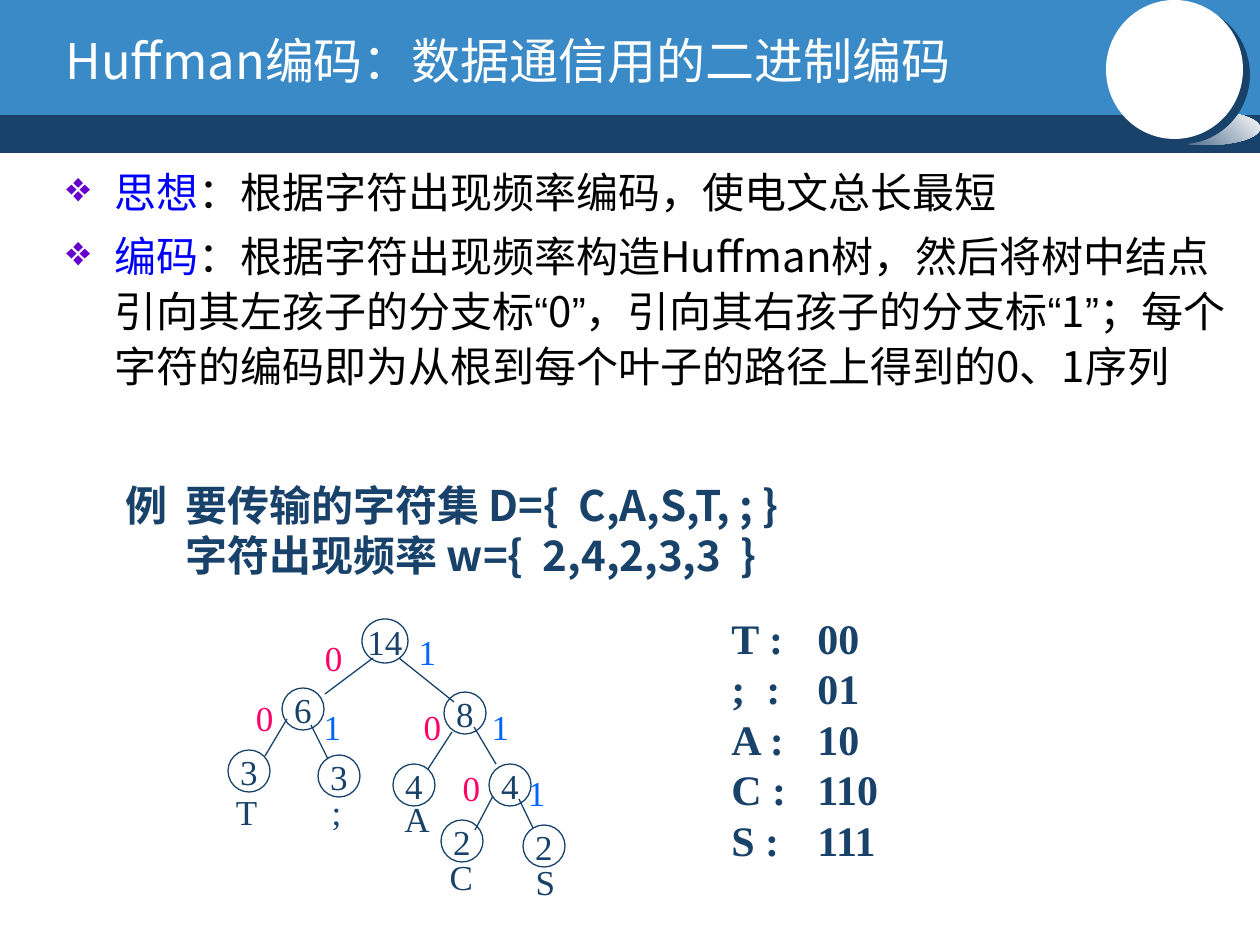
from lxml import etree
from pptx import Presentation
from pptx.dml.color import RGBColor
from pptx.enum.shapes import MSO_CONNECTOR, MSO_SHAPE
from pptx.enum.text import MSO_ANCHOR, MSO_AUTO_SIZE, PP_ALIGN
from pptx.oxml.ns import qn
from pptx.util import Emu, Pt

RECTANGLE, OVAL = MSO_SHAPE.RECTANGLE, MSO_SHAPE.OVAL
STRAIGHT = MSO_CONNECTOR.STRAIGHT
MIDDLE, TOP = MSO_ANCHOR.MIDDLE, MSO_ANCHOR.TOP
LEFT, CENTER = PP_ALIGN.LEFT, PP_ALIGN.CENTER
NO_AUTOFIT = MSO_AUTO_SIZE.NONE

SANS, SERIF, QUOTE = "Noto Sans CJK SC", "Times New Roman", "Arial"
NAVY, BLUE, WHITE, BLACK = "19426B", "398AC7", "FFFFFF", "000000"
TERM, BULLET = "0000FF", "6600CC"
BIT_COLORS = {"0": "FF0066", "1": "0066FF"}
NODE = 42

BODY = [
    [("思想", SANS, TERM), ("：根据字符出现频率编码，使电文总长最短", SANS, BLACK)],
    [
        ("编码", SANS, TERM),
        ("：根据字符出现频率构造Huffman树，然后将树中结点引向其左孩子的分支标", SANS, BLACK),
        ("“", QUOTE, BLACK), ("0", SANS, BLACK), ("”", QUOTE, BLACK),
        ("，引向其右孩子的分支标", SANS, BLACK),
        ("“", QUOTE, BLACK), ("1", SANS, BLACK), ("”", QUOTE, BLACK),
        ("；每个字符的编码即为从根到每个叶子的路径上得到的0、1序列", SANS, BLACK),
    ],
]
EXAMPLE = ["例\t要传输的字符集 D={  C,A,S,T, ; }", "字符出现频率 w={  2,4,2,3,3  }"]
CODES = ["T :\t00", ";  :\t01", "A :\t10", "C :\t110", "S :\t111"]

INNER_NODES = [("6", 282, 688), ("8", 444, 692), ("4", 489, 764)]
LEAVES = [
    ("3", 228, 750, "T", (223, 784, 47)),
    ("3", 318, 755, ";", (319, 784, 35)),
    ("4", 393, 764, "A", (392, 791, 50)),
    ("2", 441, 820, "C", (437, 849, 49)),
    ("2", 523, 825, "S", (523, 854, 45)),
]
BRANCHES = [
    ((373, 658), (325, 694), "0", (312, 630)),
    ((399, 658), (454, 702), "1", (406, 624)),
    ((287, 719), (265, 756), "0", (243, 690)),
    ((311, 725), (328, 759), "1", (311, 699)),
    ((452, 732), (428, 769), "0", (411, 699)),
    ((474, 727), (496, 764), "1", (479, 699)),
    ((493, 796), (475, 830), "0", (450, 760)),
    ((519, 799), (533, 828), "1", (515, 765)),
]


def px(length):
    return Emu(round(length * 914400 / 126))


def color(value):
    return RGBColor.from_string(value)


class SlideBuilder:
    """Draws styled elements on the current slide."""

    def __init__(self, presentation):
        self.slide = presentation.slides.add_slide(presentation.slide_layouts[5])
        self.shapes = self.slide.shapes

    def style(self, font, name, size, value, bold=False):
        font.name, font.size, font.bold = name, Pt(size), bold
        font.color.rgb = color(value)
        properties = font.fill._xPr
        east_asian = etree.Element(qn("a:ea"), typeface=name)
        properties.find(qn("a:latin")).addnext(east_asian)

    def shape(self, kind, box, fill=None, line=None):
        shape = self.shapes.add_shape(kind, *map(px, box))
        shape.shadow.inherit = False
        if fill:
            shape.fill.solid()
            shape.fill.fore_color.rgb = color(fill)
        else:
            shape.fill.background()
        if line:
            shape.line.color.rgb = color(line)
            shape.line.width = Pt(0.75)
        else:
            shape.line.fill.background()
        return shape

    def gradient_oval(self, box, start, end, angle):
        fill = self.shape(OVAL, box, start).fill
        fill.gradient()
        fill.gradient_angle = angle
        for stop, value, position in zip(fill.gradient_stops, (start, end), (0, 1)):
            stop.color.rgb = color(value)
            stop.position = position

    def shadowed_oval(self, box, fill, shadow):
        oval = self.shape(OVAL, box, fill)
        effects = oval.element.spPr.find(qn("a:effectLst"))
        outer = etree.SubElement(effects, qn("a:outerShdw"), dist=str(Pt(5)),
                                 dir=str(37 * 60000), algn="ctr", rotWithShape="0")
        etree.SubElement(outer, qn("a:srgbClr"), val=shadow)

    def title(self, box, text):
        shape = self.shapes.title
        shape.left, shape.top, shape.width, shape.height = map(px, box)
        frame = shape.text_frame
        frame.text = text
        frame.auto_size, frame.vertical_anchor = NO_AUTOFIT, MIDDLE
        paragraph = frame.paragraphs[0]
        paragraph.alignment = LEFT
        self.style(paragraph.font, SANS, 28, WHITE)
        shape.element.getparent().append(shape.element)

    def text_box(self, box, anchor):
        frame = self.shapes.add_textbox(*map(px, box)).text_frame
        frame.word_wrap, frame.vertical_anchor = True, anchor
        return frame

    def bullets(self, box, items):
        frame = self.text_box(box, TOP)
        for index, runs in enumerate(items):
            paragraph = frame.add_paragraph() if index else frame.paragraphs[0]
            paragraph.line_spacing, paragraph.space_before = 1.1, Pt(4.8)
            properties = paragraph._p.get_or_add_pPr()
            properties.set("marL", str(px(48)))
            properties.set("indent", str(-px(48)))
            bullet_color = etree.SubElement(properties, qn("a:buClr"))
            etree.SubElement(bullet_color, qn("a:srgbClr"), val=BULLET)
            etree.SubElement(properties, qn("a:buChar"), char="❖")
            for text, name, value in runs:
                run = paragraph.add_run()
                run.text = text
                self.style(run.font, name, 24, value)

    def bold_lines(self, box, lines, name, tab):
        frame = self.text_box(box, MIDDLE)
        for index, line in enumerate(lines):
            paragraph = frame.add_paragraph() if index else frame.paragraphs[0]
            paragraph.text = line
            properties = paragraph._p.get_or_add_pPr()
            if "\t" in line:
                tabs = etree.SubElement(properties, qn("a:tabLst"))
                etree.SubElement(tabs, qn("a:tab"), pos=str(px(tab)), algn="l")
            else:
                properties.set("marL", str(px(tab)))
            self.style(paragraph.font, name, 24, NAVY, True)

    def centered(self, frame, text, value):
        frame.word_wrap, frame.vertical_anchor = False, MIDDLE
        paragraph = frame.paragraphs[0]
        paragraph.text, paragraph.alignment = text, CENTER
        self.style(paragraph.font, SERIF, 20, value)

    def label(self, text, left, top, width=43, value=NAVY):
        self.centered(self.text_box((left, top, width, 54), MIDDLE), text, value)

    def node(self, text, left, top, width=NODE, height=NODE):
        shape = self.shape(OVAL, (left, top, width, height), line=NAVY)
        self.centered(shape.text_frame, text, NAVY)

    def branch(self, start, end):
        line = self.shapes.add_connector(STRAIGHT, *map(px, start + end))
        line.line.color.rgb = color(NAVY)
        line.line.width = Pt(0.75)
        etree.SubElement(line.element.spPr, qn("a:effectLst"))


def main():
    presentation = Presentation()
    presentation.slide_width, presentation.slide_height = px(1260), px(945)
    builder = SlideBuilder(presentation)
    builder.shape(RECTANGLE, (0, 110, 1260, 43), NAVY)
    builder.shape(RECTANGLE, (0, 0, 1260, 115), BLUE)
    builder.gradient_oval((1153, 111, 107, 34), NAVY, WHITE, 45)
    builder.shadowed_oval((1106, 0, 137, 139), WHITE, NAVY)
    builder.title((53, 21, 1018, 78), "Huffman编码：数据通信用的二进制编码")
    builder.bullets((54, 155, 1206, 348), BODY)
    builder.bold_lines((113, 473, 788, 113), EXAMPLE, SANS, 60)
    builder.node("14", 362, 619, 46, 44)
    for node in INNER_NODES:
        builder.node(*node)
    for weight, left, top, letter, place in LEAVES:
        builder.node(weight, left, top)
        builder.label(letter, *place)
    for start, end, bit, place in BRANCHES:
        builder.branch(start, end)
        builder.label(bit, *place, value=BIT_COLORS[bit])
    builder.bold_lines((719, 606, 175, 265), CODES, SERIF, 86)
    presentation.save("out.pptx")


if __name__ == "__main__":
    main()
